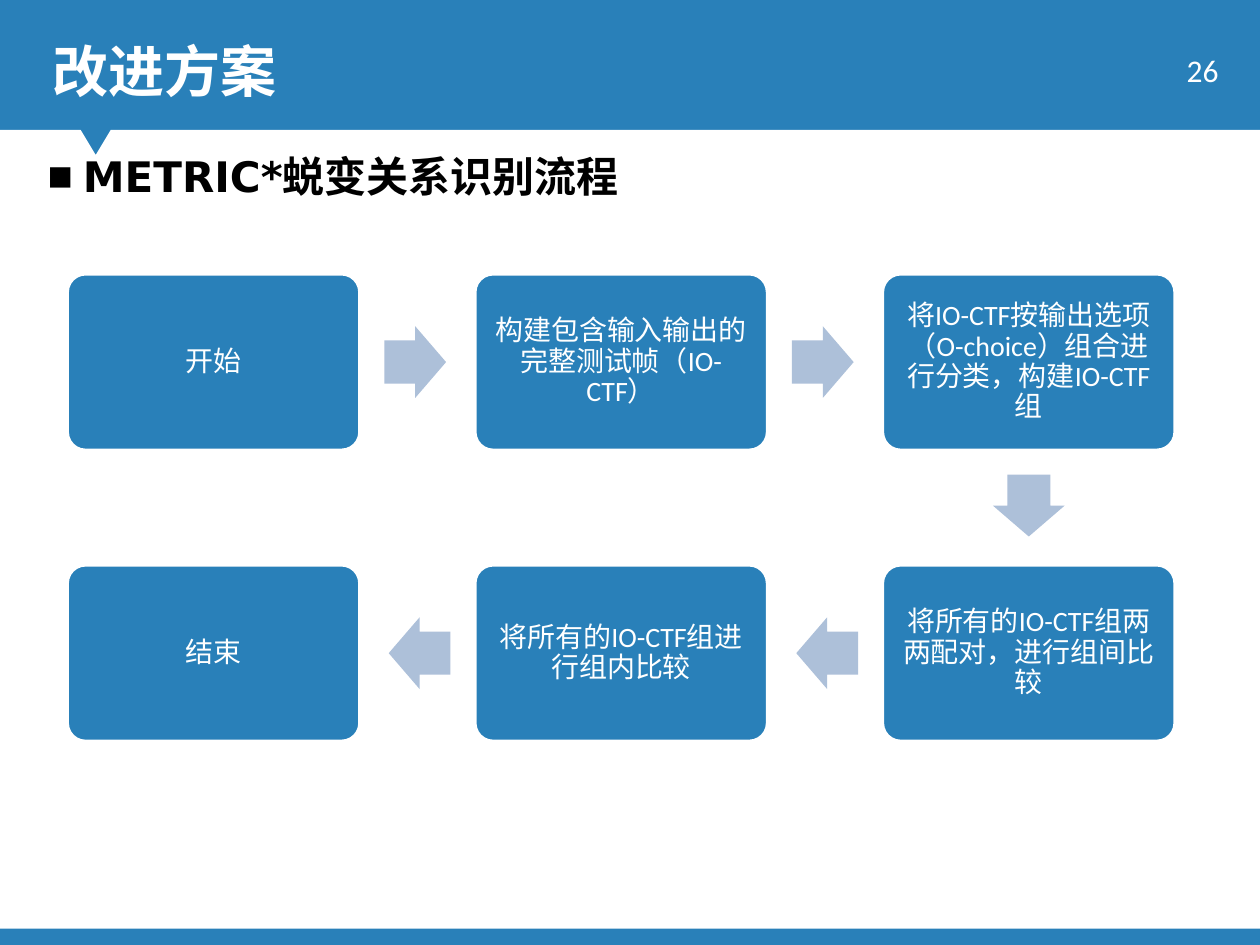
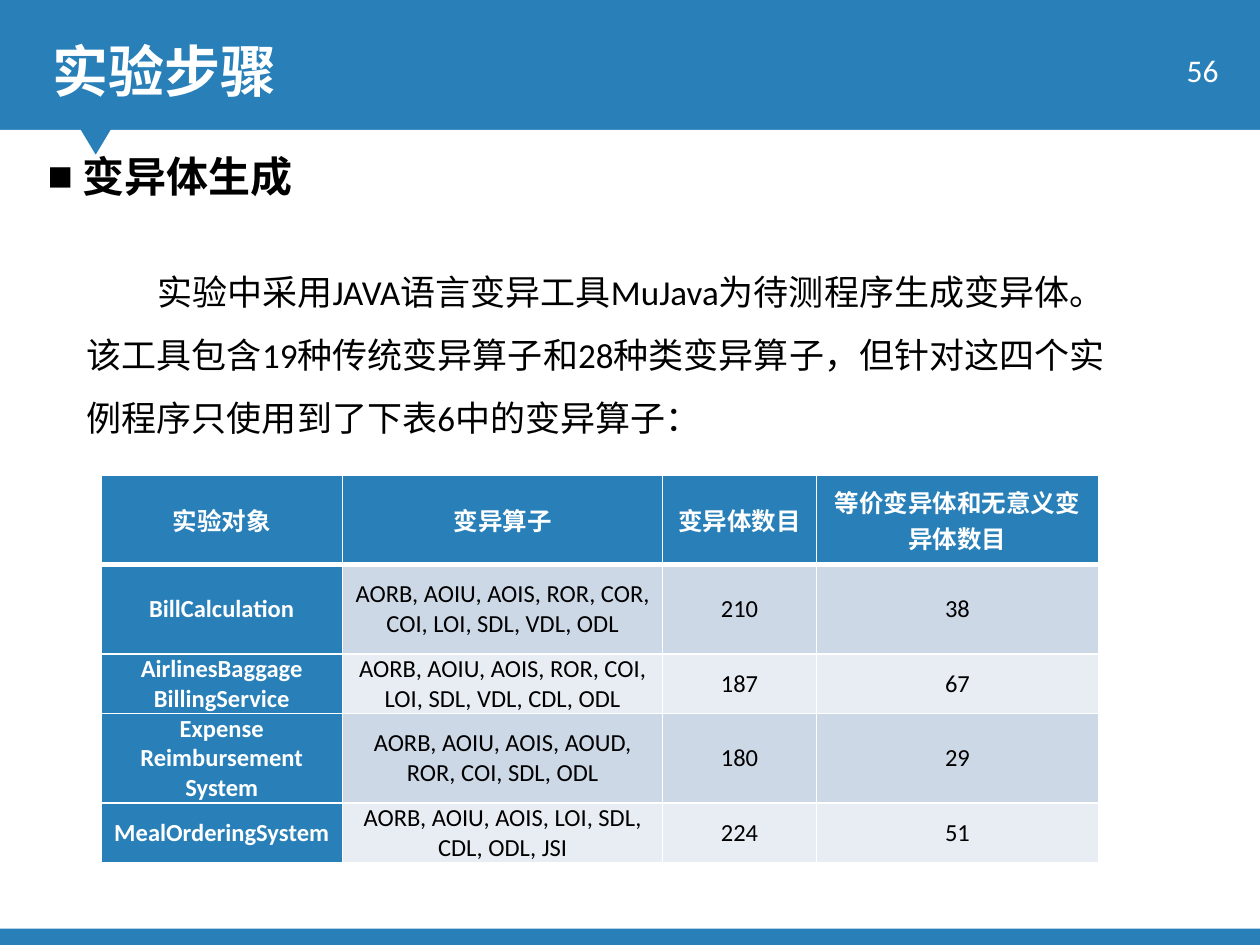
"""Builds two slides on test relations: a process flow and a table of mutants."""
from dataclasses import dataclass

from lxml import etree
from pptx import Presentation
from pptx.dml.color import RGBColor
from pptx.enum.shapes import MSO_SHAPE
from pptx.enum.text import MSO_ANCHOR, MSO_AUTO_SIZE, PP_ALIGN
from pptx.oxml.ns import qn
from pptx.util import Emu, Inches, Pt

RECT, ROUND = MSO_SHAPE.RECTANGLE, MSO_SHAPE.ROUNDED_RECTANGLE
ARROW = MSO_SHAPE.RIGHT_ARROW
LEFT, MID, RIGHT = PP_ALIGN.LEFT, PP_ALIGN.CENTER, PP_ALIGN.RIGHT
TOP, CORE = MSO_ANCHOR.TOP, MSO_ANCHOR.MIDDLE
FIXED = MSO_AUTO_SIZE.NONE
WIDTH, HEIGHT = Inches(10), Inches(7.5)


@dataclass(frozen=True)
class Theme:
    """Colours, fonts and type sizes."""
    blue: str = "2980B9"
    white: str = "FFFFFF"
    black: str = "000000"
    arrow: str = "ADC0D9"
    bands: tuple = ("CDD8E6", "E8EDF3")
    font: str = "Calibri"
    wide: str = "DejaVu Sans"
    plain: str = "Arial"
    title: int = 32
    head: int = 24
    body: int = 20
    page: int = 18
    step: int = 16
    cell: int = 14


THEME = Theme()

STEPS = [
    (0, 0, "开始"),
    (1, 0, "构建包含输入输出的完整测试帧（IO-CTF）"),
    (2, 0, "将IO-CTF按输出选项（O-choice）组合进行分类，构建IO-CTF组"),
    (2, 1, "将所有的IO-CTF组两两配对，进行组间比较"),
    (1, 1, "将所有的IO-CTF组进行组内比较"),
    (0, 1, "结束"),
]
TURNS = {(1, 0): 0, (0, 1): 90, (-1, 0): 180}

INTRO = ("实验中采用JAVA语言变异工具MuJava为待测程序生成变异体。"
         "该工具包含19种传统变异算子和28种类变异算子，"
         "但针对这四个实例程序只使用到了下表6中的变异算子：")
ROWS = [
    ("实验对象", "变异算子", "变异体数目", "等价变异体和无意义变异体数目"),
    ("BillCalculation",
     "AORB, AOIU, AOIS, ROR, COR, COI, LOI, SDL, VDL, ODL", "210", "38"),
    ("AirlinesBaggage\nBillingService",
     "AORB, AOIU, AOIS, ROR, COI, LOI, SDL, VDL, CDL, ODL", "187", "67"),
    ("Expense\nReimbursement\nSystem",
     "AORB, AOIU, AOIS, AOUD, ROR, COI, SDL, ODL", "180", "29"),
    ("MealOrderingSystem",
     "AORB, AOIU, AOIS, LOI, SDL, CDL, ODL, JSI", "224", "51"),
]
COLS = (19.2, 25.4, 12.2, 22.4)
TALL, SHORT = 9.47, 6.27
LINES = (TALL, TALL, SHORT, TALL, SHORT)


def across(share):
    """Turn a percentage of the slide's width into a length."""
    return Emu(round(WIDTH * share / 100))


def down(share):
    """Turn a percentage of the slide's height into a length."""
    return Emu(round(HEIGHT * share / 100))


def place(x, y, w, h):
    """Turn four percentages into left, top, width and height."""
    return across(x), down(y), across(w), down(h)


def tint(code):
    """Give the colour object for a hex code."""
    return RGBColor.from_string(code)


def write(frame, text, *, size, color=THEME.black, font=THEME.font, bold=False,
          align=LEFT, anchor=TOP, pad=None, lead=None, after=None,
          indent=0, bullet=False):
    """Fill a frame; newlines split paragraphs, (text, font) pairs are runs."""
    frame.word_wrap = True
    frame.auto_size = FIXED
    frame.vertical_anchor = anchor
    if pad is not None:
        frame.margin_left = frame.margin_right = pad
        frame.margin_top = frame.margin_bottom = pad
    lines = text.split("\n") if isinstance(text, str) else [text]
    for num, line in enumerate(lines):
        para = frame.add_paragraph() if num else frame.paragraphs[0]
        para.alignment = align
        para.space_before = Pt(0)
        if lead:
            para.line_spacing = lead
        if after:
            para.space_after = Pt(after)
        props = para._p.get_or_add_pPr()
        if indent:
            props.set("marL", str(max(0, -indent)))
            props.set("indent", str(indent))
        if bullet:
            etree.SubElement(props, qn("a:buFont"), typeface=THEME.plain)
            etree.SubElement(props, qn("a:buChar"), char="■")
        for part, face in [(line, font)] if isinstance(line, str) else line:
            run = para.add_run()
            run.text = part
            run.font.name, run.font.size = face, Pt(size)
            run.font.bold = bold
            run.font.color.rgb = tint(color)


def paint(shape, fill, line=None):
    """Give a shape a flat fill and a thin line or none."""
    shape.shadow.inherit = False
    shape.fill.solid()
    shape.fill.fore_color.rgb = tint(fill)
    if line:
        shape.line.color.rgb = tint(line)
        shape.line.width = Pt(1)
    else:
        shape.line.fill.background()
    return shape


def label(slide, spot, text, **style):
    """Add a text box."""
    write(slide.shapes.add_textbox(*spot).text_frame, text, **style)


def frame_up(slide, layout):
    """Build the blue ground and the notched white panel on the layout."""
    ground = paint(slide.shapes.add_shape(RECT, 0, 0, WIDTH, HEIGHT), THEME.blue)
    top, base = 13.73, 98.27
    outline = [(6.4, top), (7.6, 16.4), (8.8, top), (100, top),
               (100, base), (0, base)]
    pen = slide.shapes.build_freeform(0, down(top))
    pen.add_line_segments([(across(x), down(y)) for x, y in outline])
    panel = paint(pen.convert_to_shape(), THEME.white)
    for spot, shape in enumerate((ground, panel), 2):
        layout.shapes.element.insert(spot, shape.element)


def start(deck, title, page, head):
    """Add a slide with its title, page number and bulleted heading."""
    slide = deck.slides.add_slide(deck.slide_layouts[5])
    name = slide.shapes.title
    name.left, name.top, name.width, name.height = place(3.2, 3.2, 77.6, 8.5)
    write(name.text_frame, title, size=THEME.title, color=THEME.white,
          bold=True, anchor=CORE)
    label(slide, place(88.7, 4.1, 9, 6.7), page, size=THEME.page,
          color=THEME.white, align=RIGHT, anchor=CORE)
    label(slide, place(2.8, 15.3, 59.7, 6.7), head, size=THEME.head,
          font=THEME.wide, bold=True, indent=-across(2.8), bullet=True)
    return slide


def flow(slide):
    """Lay the steps on a grid and put an arrow after each but the last."""
    wide, high = across(23.1), down(18.5)
    long, thick, gap = across(4.9), down(7.6), across(2)
    for num, (col, row, text) in enumerate(STEPS):
        x, y = across(5.4 + 32.35 * col), down(29.07 + 30.8 * row)
        box = paint(slide.shapes.add_shape(ROUND, x, y, wide, high),
                    THEME.blue, THEME.white)
        box.adjustments[0] = 0.1
        write(box.text_frame, text, size=THEME.step, color=THEME.white,
              align=MID, anchor=CORE, pad=Inches(0.07), lead=0.9)
        if num + 1 == len(STEPS):
            break
        dx, dy = STEPS[num + 1][0] - col, STEPS[num + 1][1] - row
        reach = gap + long // 2
        mid_x = x + wide // 2 + dx * (wide // 2 + reach)
        mid_y = y + high // 2 + dy * (high // 2 + reach)
        arrow = paint(slide.shapes.add_shape(
            ARROW, mid_x - long // 2, mid_y - thick // 2, long, thick),
            THEME.arrow)
        arrow.adjustments[0], arrow.adjustments[1] = 0.6, 0.5
        arrow.rotation = TURNS[dx, dy]


def edge(cell, **widths):
    """Draw white borders one point wide, or as given by side."""
    props = cell._tc.get_or_add_tcPr()
    for side in "LRTB":
        line = etree.SubElement(props, qn("a:ln" + side),
                                w=str(Pt(widths.get(side, 1))))
        fill = etree.SubElement(line, qn("a:solidFill"))
        etree.SubElement(fill, qn("a:srgbClr"), val=THEME.white)


def chart_rows(slide):
    """Add the table of mutants."""
    spot = place(8, 50.27, sum(COLS), sum(LINES))
    table = slide.shapes.add_table(len(ROWS), len(COLS), *spot).table
    for col, share in zip(table.columns, COLS):
        col.width = across(share)
    for row, share in zip(table.rows, LINES):
        row.height = down(share)
    for r, row in enumerate(ROWS):
        for c, text in enumerate(row):
            cell = table.cell(r, c)
            key = r == 0 or c == 0
            edge(cell, **{0: {"B": 3}, 1: {"T": 3}}.get(r, {}))
            cell.fill.solid()
            cell.fill.fore_color.rgb = tint(
                THEME.blue if key else THEME.bands[(r - 1) % 2])
            write(cell.text_frame, text, size=THEME.cell, bold=key, align=MID,
                  color=THEME.white if key else THEME.black)
            cell.vertical_anchor = CORE
            cell.margin_left = cell.margin_right = Inches(0.07)
            cell.margin_top = cell.margin_bottom = 0


def main():
    """Build and save the deck."""
    deck = Presentation()
    deck.slide_width, deck.slide_height = WIDTH, HEIGHT
    slide = start(deck, "改进方案", "26",
                  [("METRIC*", THEME.wide), ("蜕变关系识别流程", THEME.plain)])
    frame_up(slide, deck.slide_layouts[5])
    flow(slide)
    slide = start(deck, "实验步骤", "56", "变异体生成")
    label(slide, place(5.9, 25.73, 85.3, 20.8), INTRO, size=THEME.body,
          lead=1.5, after=12, indent=across(5.6))
    chart_rows(slide)
    deck.save("out.pptx")


if __name__ == "__main__":
    main()
